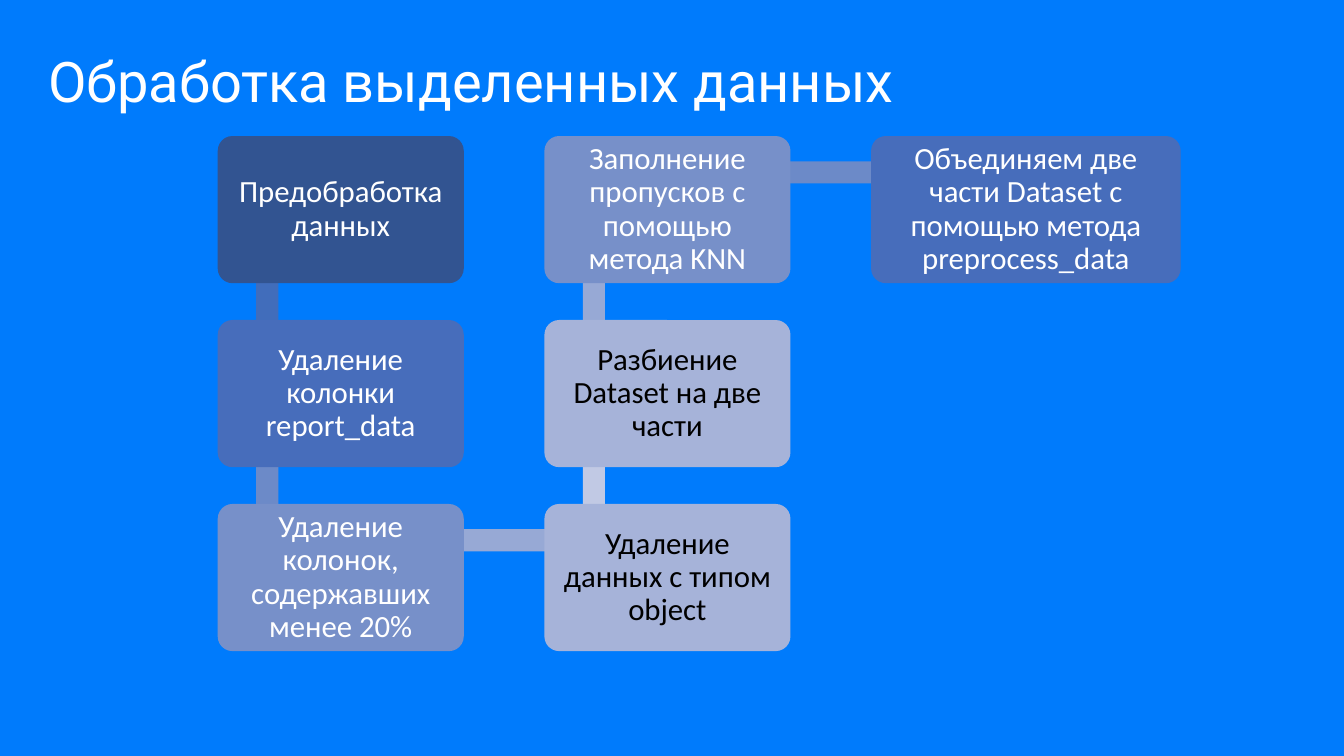
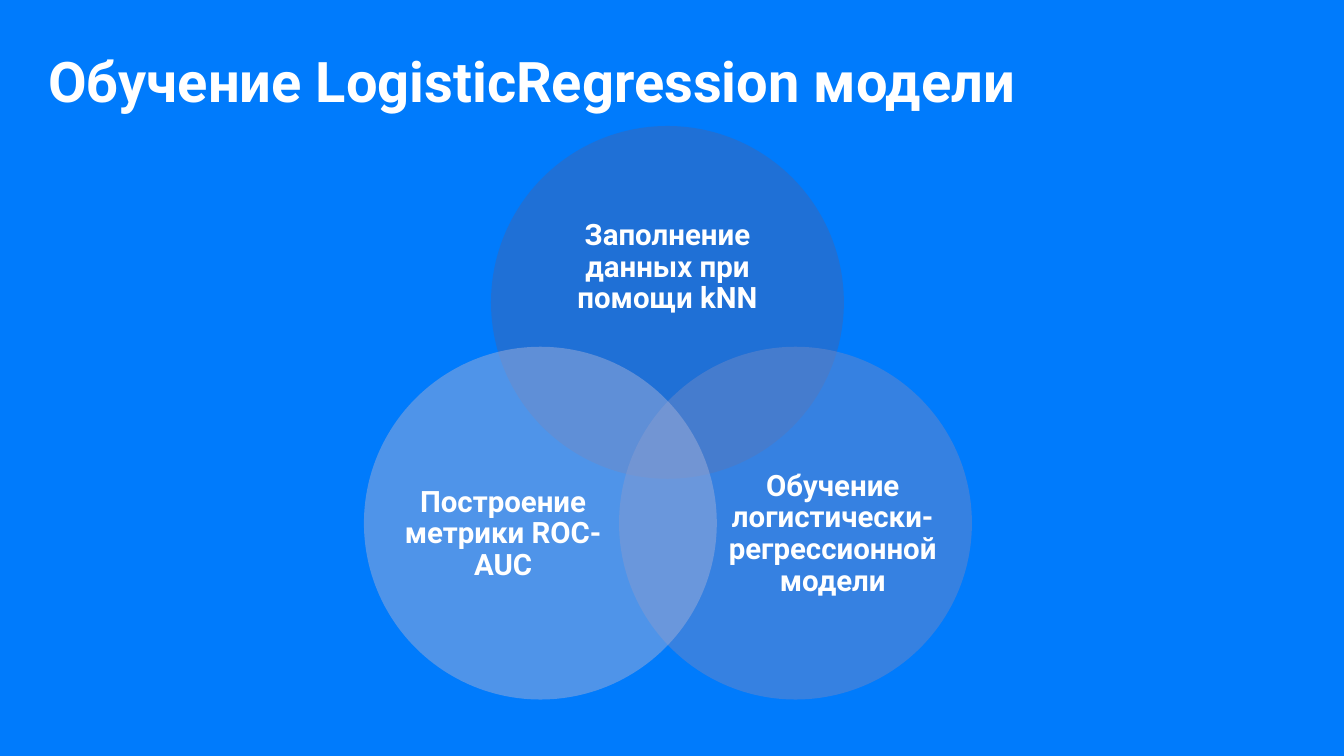
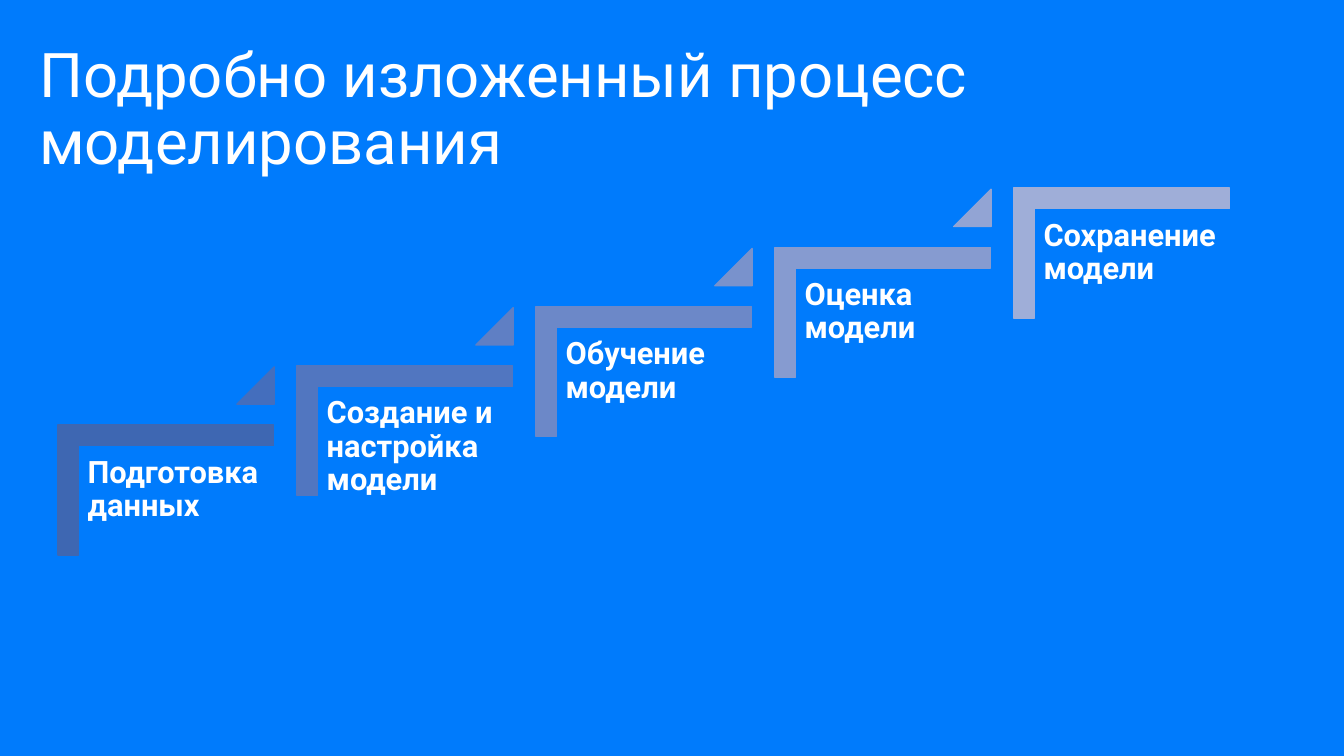
from dataclasses import dataclass

from lxml.etree import SubElement
from pptx import Presentation
from pptx.dml.color import RGBColor
from pptx.enum.shapes import MSO_SHAPE
from pptx.enum.text import MSO_ANCHOR, PP_ALIGN
from pptx.oxml.ns import qn
from pptx.util import Inches, Pt


@dataclass(frozen=True)
class Theme:
    back: str = "007BFC"
    light: str = "FFFFFF"
    dark: str = "000000"
    head: str = "Roboto"
    body: str = "Calibri"
    title: int = 40
    large: int = 44
    label: int = 22
    small: int = 21
    boxes: tuple = ("325491", "476DBB", "7790C9", "A6B3D9",
                    "A6B3D9", "7790C9", "476DBB")
    links: tuple = ("416DBB", "6C8AC8", "97A9D5", "C1C9E4", "97A9D5", "6C8AC8")
    rings: tuple = ("3E67B2", "6C88C8", "9FAED8")
    steps: tuple = ("3E67B2", "446EBD", "5176C0", "5F7FC4", "6C88C8",
                    "7992CC", "869BD0", "92A4D4", "9FAED8")


THEME = Theme()


def write(shape, text, size=THEME.label, font=THEME.head, color=THEME.light,
          bold=False, align=PP_ALIGN.LEFT, anchor=MSO_ANCHOR.MIDDLE, inset=0):
    frame = shape.text_frame
    frame.word_wrap = True
    frame.vertical_anchor = anchor
    frame.margin_left = frame.margin_right = Inches(inset)
    frame.margin_top = frame.margin_bottom = Inches(inset)
    para = frame.paragraphs[0]
    para.alignment = align
    para.line_spacing = 0.9
    run = para.add_run()
    run.text = text
    run.font.size = Pt(size)
    run.font.name = font
    run.font.bold = bold
    run.font.color.rgb = RGBColor.from_string(color)


class Deck:
    def __init__(self):
        self.file = Presentation()
        self.file.slide_width = Inches(13.33)
        self.file.slide_height = Inches(7.5)

    def page(self, title, at=(0.48, 0.48, 12.36, 0.71), **style):
        self.slide = self.file.slides.add_slide(self.file.slide_layouts[6])
        fill = self.slide.background.fill
        fill.solid()
        fill.fore_color.rgb = RGBColor.from_string(THEME.back)
        self.text(title, at, **{"size": THEME.title, **style})

    def text(self, text, at, **style):
        box = self.slide.shapes.add_textbox(*map(Inches, at))
        write(box, text, **style)

    def shape(self, kind, at, color, adjust=(), edge=False, alpha=None, turn=0):
        item = self.slide.shapes.add_shape(kind, *map(Inches, at))
        item.shadow.inherit = False
        item.rotation = turn
        for i, value in enumerate(adjust):
            item.adjustments[i] = value
        item.fill.solid()
        item.fill.fore_color.rgb = RGBColor.from_string(color)
        if alpha is not None:
            tone = item.element.spPr.find(".//" + qn("a:srgbClr"))
            SubElement(tone, qn("a:alpha"), val=str(alpha * 1000))
        if edge:
            item.line.color.rgb = RGBColor.from_string(color)
            item.line.width = Pt(1)
        else:
            item.line.fill.background()
        return item


def flow(deck):
    deck.page("Обработка выделенных данных")
    cols = [2.16 + 3.24 * i for i in range(3)]
    rows = [1.35 + 1.825 * i for i in range(3)]
    wide, high, thick = 2.44, 1.46, 0.22
    tasks = [
        ("Предобработка данных", 0, 0),
        ("Удаление колонки report_data", 0, 1),
        ("Удаление колонок, содержавших менее 20%", 0, 2),
        ("Удаление данных с типом object", 1, 2),
        ("Разбиение Dataset на две части", 1, 1),
        ("Заполнение пропусков с помощью метода KNN", 1, 0),
        ("Объединяем две части Dataset с помощью метода preprocess_data", 2, 0),
    ]
    for i, (text, col, row) in enumerate(tasks):
        x, y = cols[col], rows[row]
        last = i == len(tasks) - 1
        if not last:
            _, after, below = tasks[i + 1]
            if after == col:
                top = rows[min(row, below)]
                bar = (x + 0.38, top + 0.36, thick, 1.82)
            else:
                bar = (x + 0.5, y + 0.25, 3.23, thick)
            deck.shape(MSO_SHAPE.RECTANGLE, bar, THEME.links[i])
        fill = THEME.boxes[i]
        box = deck.shape(MSO_SHAPE.ROUNDED_RECTANGLE,
                         (x, y, 3.07 if last else wide, high), fill, [0.1])
        ink = THEME.dark if fill == "A6B3D9" else THEME.light
        write(box, text, font=THEME.body, color=ink,
              align=PP_ALIGN.CENTER, inset=0.09)


def venn(deck):
    deck.page("Обучение LogisticRegression модели", bold=True)
    size = 3.5
    rings = [
        (4.87, 1.25, "Заполнение данных при помощи kNN",
         (5.34, 1.87, 2.56, 1.57)),
        (6.14, 3.44, "Обучение логистически-регрессионной модели",
         (7.21, 4.34, 2.1, 1.92)),
        (3.61, 3.44, "Построение метрики ROC-AUC",
         (3.94, 4.34, 2.1, 1.92)),
    ]
    for (x, y, text, at), color in zip(rings, THEME.rings):
        deck.shape(MSO_SHAPE.OVAL, (x, y, size, size), color, alpha=50)
        deck.text(text, at, size=THEME.small, bold=True, align=PP_ALIGN.CENTER)


def stairs(deck):
    deck.page("Подробно изложенный процесс моделирования",
              (0.39, 0.16, 10.95, 1.88), size=THEME.large)
    steps = ["Подготовка данных", "Создание и настройка модели",
             "Обучение модели", "Оценка модели", "Сохранение модели"]
    for i, text in enumerate(steps):
        x, y = 0.78 + 2.37 * i, 4.44 - 0.5875 * i
        deck.shape(MSO_SHAPE.CORNER, (x + 0.22, y - 0.65, 1.29, 2.14),
                   THEME.steps[2 * i], [0.16, 0.16], edge=True, turn=90)
        deck.text(text, (x, y, 1.94, 1.7), bold=True,
                  anchor=MSO_ANCHOR.TOP, inset=0.09)
        if i < len(steps) - 1:
            deck.shape(MSO_SHAPE.ISOSCELES_TRIANGLE,
                       (x + 1.57, y - 0.8, 0.37, 0.37),
                       THEME.steps[2 * i + 1], [1], edge=True)


def main():
    deck = Deck()
    flow(deck)
    venn(deck)
    stairs(deck)
    deck.file.save("out.pptx")


if __name__ == "__main__":
    main()
